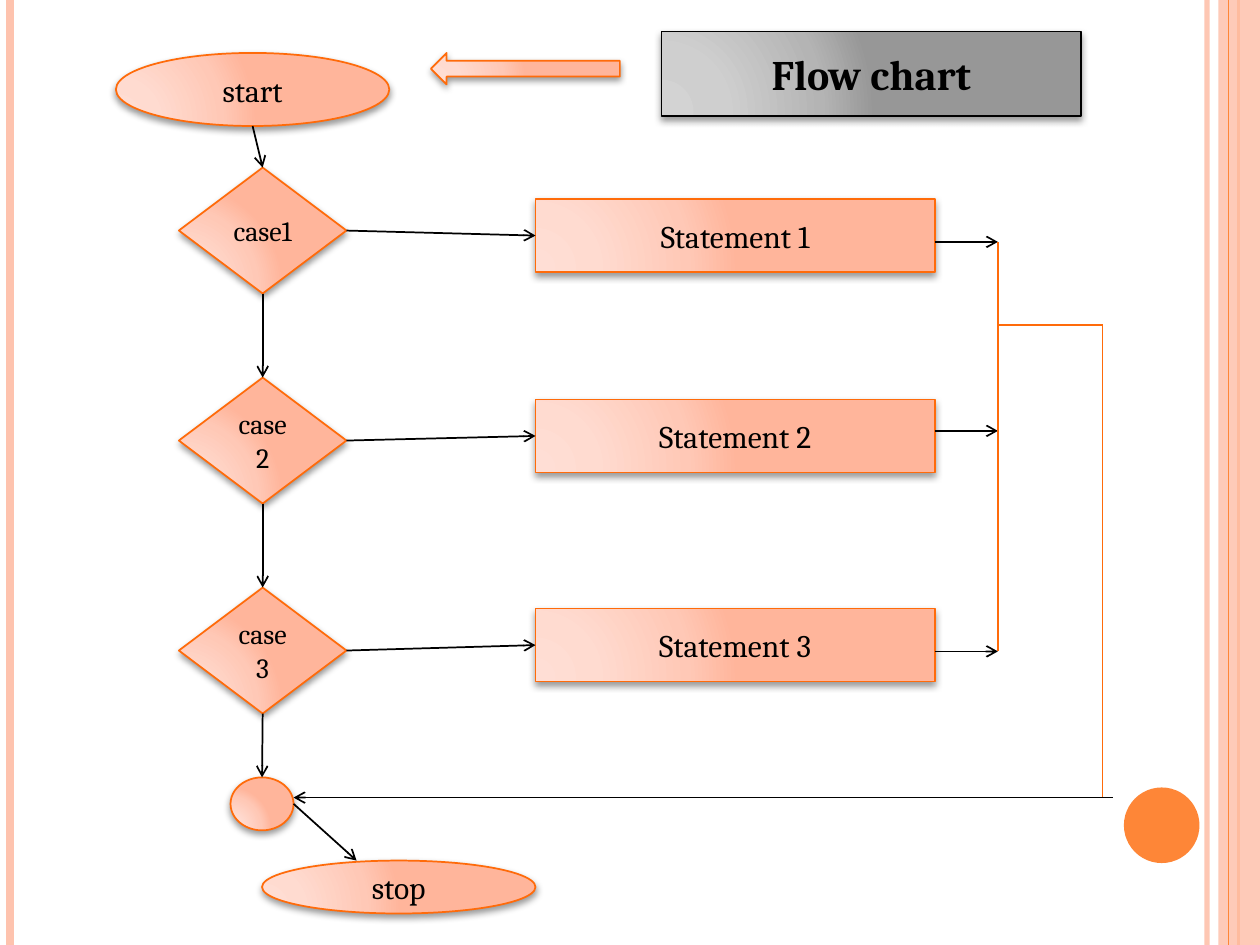
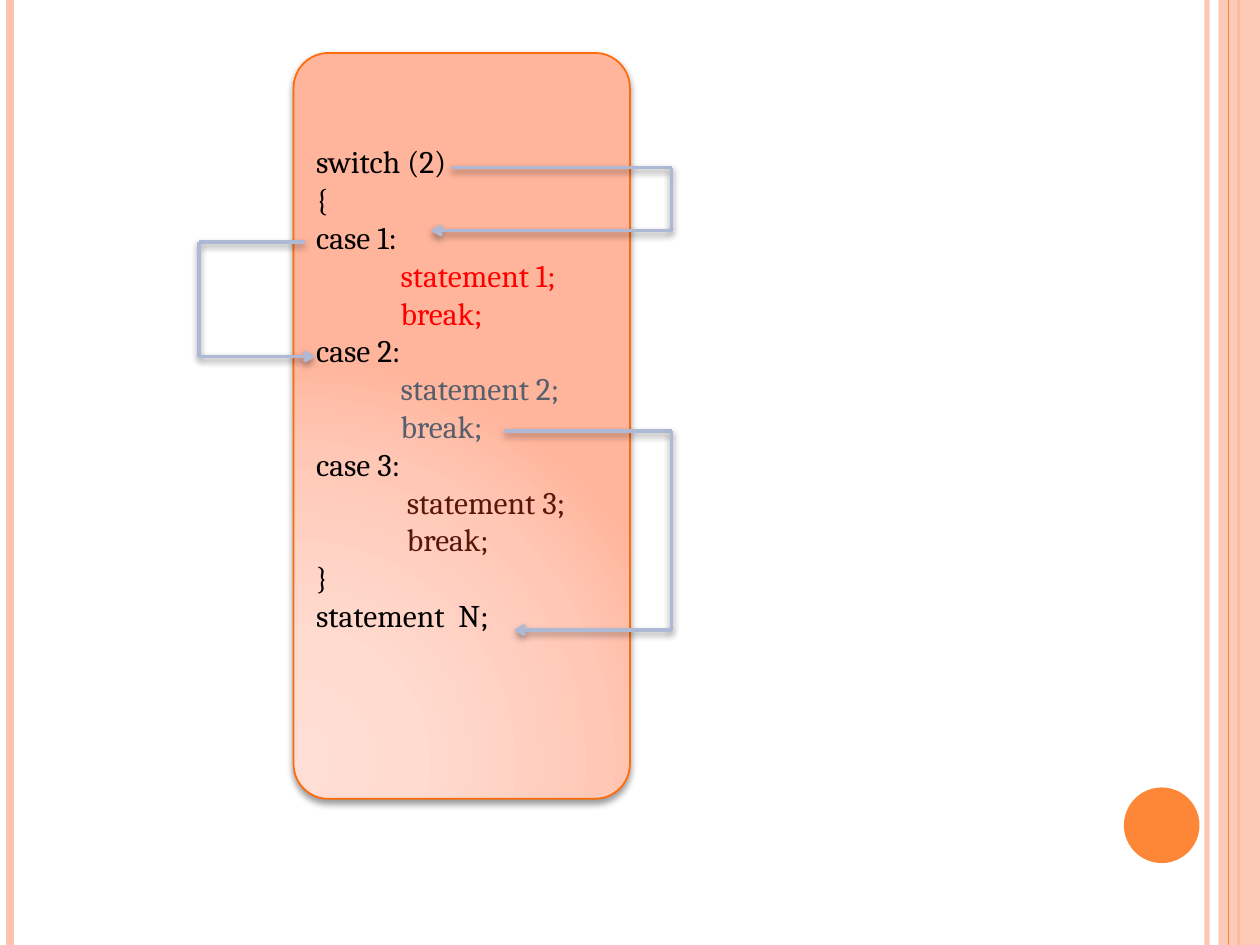
from dataclasses import dataclass

from lxml import etree
from pptx import Presentation
from pptx.dml.color import RGBColor
from pptx.enum.shapes import MSO_CONNECTOR, MSO_SHAPE
from pptx.enum.text import MSO_ANCHOR, PP_ALIGN
from pptx.oxml.ns import qn
from pptx.util import Inches, Pt

RECT, OVAL, DIAMOND = MSO_SHAPE.RECTANGLE, MSO_SHAPE.OVAL, MSO_SHAPE.DIAMOND
ROUNDED, LEFT_ARROW = MSO_SHAPE.ROUNDED_RECTANGLE, MSO_SHAPE.LEFT_ARROW
STRAIGHT = MSO_CONNECTOR.STRAIGHT
MIDDLE, CENTER, LEFT = MSO_ANCHOR.MIDDLE, PP_ALIGN.CENTER, PP_ALIGN.LEFT
TOP_SIDE, LEFT_SIDE, BOTTOM_SIDE, RIGHT_SIDE = range(4)

FONT = "Cambria"
COLORS = {
    "band": "FEC3AE", "accent": "FE8637", "outline": "FF6B0A",
    "ink": "000000", "jump": "AEBAD5",
    "red": "FF0000", "slate": "575F6D", "maroon": "5A160B",
}
GRADIENT_STOPS = (0, 30, 75, 100)
PEACH = ("FFDED5", "FFDBD0", "FFC8B6", "FFB59B")
GRAY = ("D3D3D3", "CFCFCF", "B4B4B4", "979797")


@dataclass
class Box:
    """A rectangle in inches."""
    left: float
    top: float
    width: float
    height: float

    def inner(self, dx, dy, width, height):
        """Return a box offset from this one's corner."""
        return Box(self.left + dx, self.top + dy, width, height)

    def point(self, dx, dy):
        """Return a point offset from this box's corner."""
        return self.left + dx, self.top + dy

    def at(self, across, down):
        """Return a point at fractions of this box's size."""
        return self.point(across * self.width, down * self.height)


def color(name):
    """Return a palette colour."""
    return RGBColor.from_string(COLORS[name])


def set_alpha(fill_parent, percent):
    """Make the solid fill inside an element partly transparent."""
    tone = fill_parent.find(qn("a:solidFill"))[0]
    etree.SubElement(tone, qn("a:alpha"), val=str(percent * 1000))


def add_shadow(effects):
    """Put a soft downward shadow into an effect list."""
    shadow = etree.SubElement(effects, qn("a:outerShdw"), blurRad=str(Pt(4)),
                              dist=str(Pt(2)), dir="5400000", rotWithShape="0")
    tone = etree.SubElement(shadow, qn("a:srgbClr"), val=COLORS["ink"])
    etree.SubElement(tone, qn("a:alpha"), val="40000")


def fill_gradient(shape, tones):
    """Fill a shape with a circular gradient."""
    shape.fill.background()
    properties = shape._element.spPr
    gradient = etree.Element(qn("a:gradFill"), rotWithShape="1")
    stops = etree.SubElement(gradient, qn("a:gsLst"))
    for position, tone in zip(GRADIENT_STOPS, tones):
        stop = etree.SubElement(stops, qn("a:gs"), pos=str(position * 1000))
        etree.SubElement(stop, qn("a:srgbClr"), val=tone)
    path = etree.SubElement(gradient, qn("a:path"), path="circle")
    etree.SubElement(path, qn("a:fillToRect"),
                     l="5000", t="100000", r="120000", b="10000")
    properties.replace(properties.find(qn("a:noFill")), gradient)


def add_plain(page, kind, box, fill):
    """Add a flat shape without outline or shadow."""
    shape = page.shapes.add_shape(kind, Inches(box.left), Inches(box.top),
                                  Inches(box.width), Inches(box.height))
    shape.shadow.inherit = False
    shape.fill.solid()
    shape.fill.fore_color.rgb = color(fill)
    shape.line.fill.background()
    return shape


def add_node(page, kind, box, lines=(), size=18, bold=False,
             tones=PEACH, outline="outline"):
    """Add a shaded gradient shape with centred text lines."""
    shape = add_plain(page, kind, box, "band")
    fill_gradient(shape, tones)
    shape.line.color.rgb = color(outline)
    shape.line.width = Pt(1)
    add_shadow(shape._element.spPr.find(qn("a:effectLst")))
    frame = shape.text_frame
    frame.word_wrap = kind != DIAMOND
    frame.vertical_anchor = MIDDLE
    para = frame.paragraphs[0]
    para.alignment = CENTER
    for number, text in enumerate(lines):
        if number:
            para.add_line_break()
        add_span(para, text, size, "ink", bold)
    return shape


def add_span(para, text, size, tone, bold=False):
    """Add one run of text to a paragraph."""
    span = para.add_run()
    span.text = text
    span.font.name = FONT
    span.font.size = Pt(size)
    span.font.bold = bold
    span.font.color.rgb = color(tone)


def add_line(page, start, end, tone, width=1, arrow=False, shadow=False):
    """Add a straight line, with an optional arrowhead and shadow."""
    line = page.shapes.add_connector(STRAIGHT, *map(Inches, (*start, *end)))
    line.line.color.rgb = color(tone)
    line.line.width = Pt(width)
    if arrow:
        etree.SubElement(line.line._get_or_add_ln(), qn("a:tailEnd"), type="arrow")
    effects = etree.SubElement(line._element.spPr, qn("a:effectLst"))
    if shadow:
        add_shadow(effects)
    return line


def add_path(page, points, tone, width=1, arrow=False, shadow=False):
    """Join points with lines, the last one optionally an arrow."""
    last = len(points) - 2
    for number, (start, end) in enumerate(zip(points, points[1:])):
        add_line(page, start, end, tone, width, arrow and number == last, shadow)


def draw_frame(page, box):
    """Draw the side bands and the disc that every slide shares."""
    def rail(x, tone, width):
        return add_line(page, box.point(x, 0), box.point(x, box.height), tone, width)

    inner_rail = rail(9.58, "band", 3)
    set_alpha(inner_rail.line._get_or_add_ln(), 93)
    rail(0.08, "band", 4.5)
    rail(9.83, "accent", 1.5)
    band = add_plain(page, RECT, box.inner(9.67, 0, 0.33, box.height), "band")
    set_alpha(band._element.spPr, 87)
    rail(9.75, "accent", 0.75)
    add_plain(page, OVAL, box.inner(8.92, 6.25, 0.6, 0.6), "accent")


def draw_heading(page, box):
    """Draw the heading plate and the arrow that points from it."""
    plate = box.inner(1.83, 0, 3.33, 0.67)
    add_node(page, RECT, plate, ["Flow chart"], 24, True, GRAY, "ink")
    add_node(page, LEFT_ARROW, box.inner(0, 0.17, 1.5, 0.25))


def draw_flow(page, box):
    """Draw the chain of cases, their statements and the way to stop."""
    start = box.inner(0, 0, 2.17, 0.58)
    junction = box.inner(0.91, 5.75, 0.5, 0.42)
    stop = box.inner(1.16, 6.41, 2.17, 0.42)
    bus_x, return_x, return_y = 7, 7.83, 5.91
    exits = (1.5, 3, 4.75)
    labels = (["case1"], ["case", "2"], ["case", "3"])
    statement_tops = (1.16, 2.75, 4.41)

    add_node(page, OVAL, start, ["start"])
    junction_shape = add_node(page, OVAL, junction)
    add_node(page, OVAL, stop, ["stop"])

    previous = None
    for row, (label, top, leave) in enumerate(zip(labels, statement_tops, exits)):
        case_box = box.inner(0.5, 0.91 + row * 5 / 3, 1.33, 1)
        statement_box = box.inner(3.33, top, 3.17, 0.58)
        case = add_node(page, DIAMOND, case_box, label, 16)
        statement = add_node(page, RECT, statement_box, [f"Statement {row + 1}"])
        origin = start.at(0.5, 1)
        entry = add_line(page, origin, case_box.at(0.5, 0), "ink", arrow=True)
        if previous:
            entry.begin_connect(previous, BOTTOM_SIDE)
        entry.end_connect(case, TOP_SIDE)
        branch = add_line(page, case_box.at(1, 0.5), statement_box.at(0, 0.5),
                          "ink", arrow=True)
        branch.begin_connect(case, RIGHT_SIDE)
        branch.end_connect(statement, LEFT_SIDE)
        add_line(page, box.point(6.5, leave), box.point(bus_x, leave),
                 "ink", arrow=True)
        previous = case

    add_line(page, box.point(bus_x, exits[0]), box.point(bus_x, exits[-1]), "outline")
    add_path(page, [box.point(bus_x, 2.16), box.point(return_x, 2.16),
                    box.point(return_x, return_y)], "outline")
    add_line(page, box.point(7.91, return_y), box.point(1.41, return_y),
             "ink", arrow=True)
    ending = add_line(page, case_box.at(0.5, 1), junction.at(0.5, 0),
                      "ink", arrow=True)
    ending.begin_connect(previous, BOTTOM_SIDE)
    ending.end_connect(junction_shape, TOP_SIDE)
    add_line(page, junction.at(1, 0.5), box.point(1.91, 6.41), "ink", arrow=True)


def draw_code(page, box):
    """Draw the panel that lists the switch statement."""
    panel = add_node(page, ROUNDED, box)
    panel.adjustments[0] = 0.104
    frame = panel.text_frame
    frame.margin_bottom = Inches(0.65)
    lines = [("switch (2)", "ink", 0), ("{", "ink", 0)]
    for number, (tone, indent) in enumerate(
            (("red", 0.67), ("slate", 0.67), ("maroon", 0.72)), 1):
        lines += [(f"case {number}:", "ink", 0),
                  (f"statement {number};", tone, indent),
                  ("break;", tone, indent)]
    lines += [("}", "ink", 0), ("statement  N;", "ink", 0)]
    for number, (text, tone, indent) in enumerate(lines):
        para = frame.add_paragraph() if number else frame.paragraphs[0]
        para.alignment = LEFT
        para._p.get_or_add_pPr().set("marL", str(Inches(indent)))
        add_span(para, text, 18, tone)


def draw_jumps(page, box):
    """Draw the arrows that show how control jumps through the code."""
    jumps = (
        (1.25, 0.91, 3, 1.41, 1.09),
        (0.09, 1.5, -0.75, 2.41, 0.17),
        (1.67, 3, 3, 4.58, 1.75),
    )
    for start_x, start_y, turn_x, end_y, end_x in jumps:
        points = [box.point(start_x, start_y), box.point(turn_x, start_y),
                  box.point(turn_x, end_y), box.point(end_x, end_y)]
        add_path(page, points, "jump", 2, arrow=True, shadow=True)


def main():
    """Build both slides and save the deck."""
    deck = Presentation()
    deck.slide_width, deck.slide_height = Inches(10), Inches(7.5)
    chart_page, code_page = (deck.slides.add_slide(deck.slide_layouts[6])
                             for _ in range(2))
    for page in (chart_page, code_page):
        draw_frame(page, Box(0, 0, 10, 7.5))
    draw_flow(chart_page, Box(0.92, 0.42, 7.92, 6.83))
    draw_heading(chart_page, Box(3.42, 0.25, 5.16, 0.67))
    panel = Box(2.33, 0.42, 2.67, 5.92)
    draw_code(code_page, panel)
    draw_jumps(code_page, panel)
    deck.save("out.pptx")


if __name__ == "__main__":
    main()
